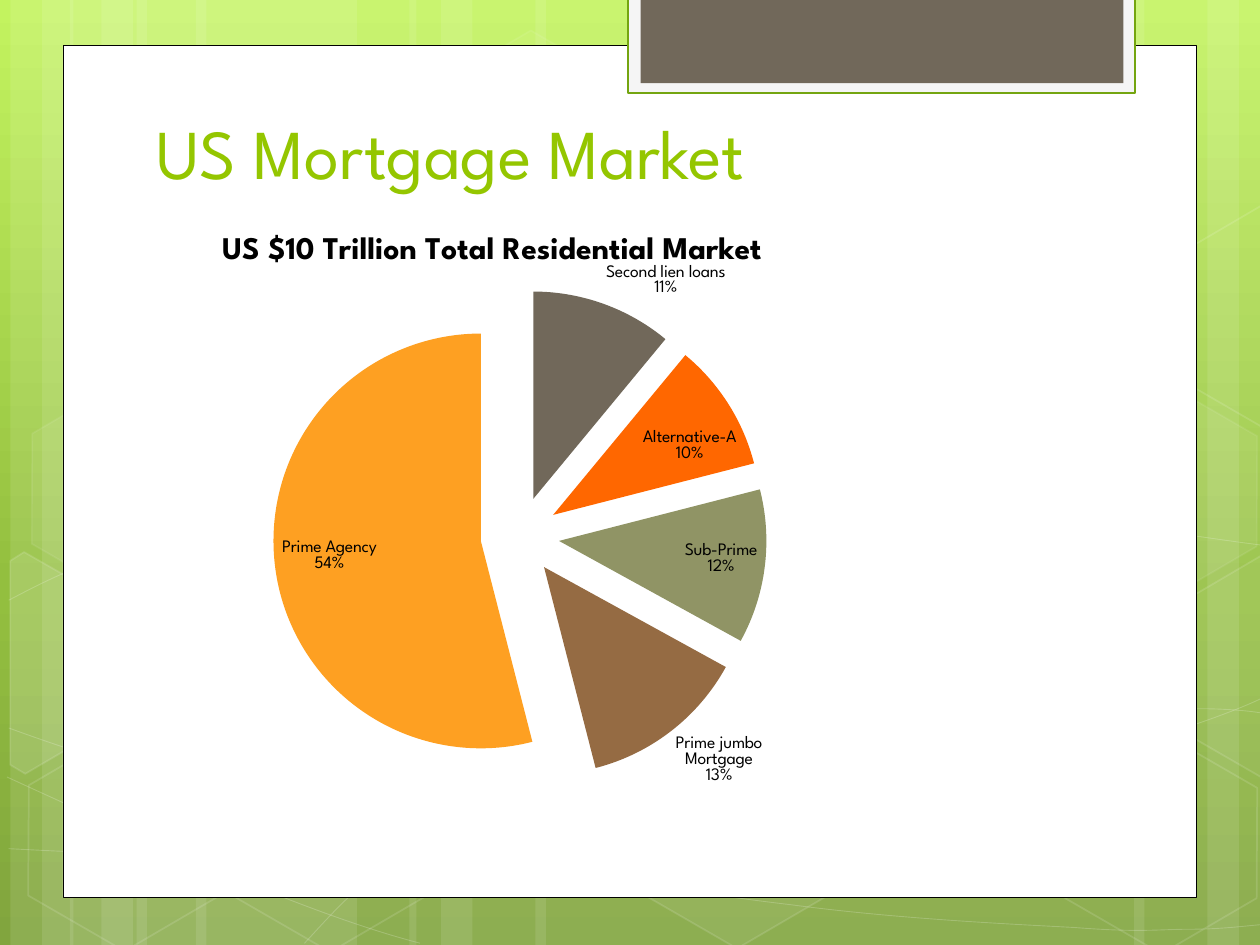
import copy
import math

import pptx
import pptx.chart.data
import pptx.dml.color
import pptx.enum.chart
import pptx.enum.shapes
import pptx.enum.text
import pptx.oxml
import pptx.oxml.ns
import pptx.util

Pt = pptx.util.Pt
qn = pptx.oxml.ns.qn
SHAPES = pptx.enum.shapes.MSO_SHAPE

FONT = "League Spartan"
WHITE, BLACK = "FFFFFF", "000000"
TITLE = "US Mortgage Market"
CHART_TITLE = "US $10 Trillion Total Residential Market"
MARKET = [  # category, share in percent, colour
    (CHART_TITLE, None, "94C600"),
    ("Second lien loans", 11, "71685A"),
    ("Alternative-A", 10, "FF6700"),
    ("Sub-Prime", 12, "909465"),
    ("Prime jumbo Mortgage", 13, "956B43"),
    ("Prime Agency", 54, "FEA022"),
]
EXPLOSION = 19
PLOT_AREA = {"x": 20.1, "y": 13.3, "w": 67.4, "h": 86.7}  # percent of the chart

BACKGROUND = [(0, "C3F35F"), (0.62, "93BF3F"), (1, "81A53E")]
STRIPES = [  # left, width
    (78, 126), (6, 36), (24, 60), (112, 126), (40, 36), (58, 60),
    (528, 126), (690, 36), (648, 60), (306, 222), (234, 36), (252, 60),
]
CURVES = [  # start point, then three Bezier points for each piece
    [(5, 485), (44, 487), (83, 489), (137, 488), (191, 487), (258, 486), (330, 479),
     (402, 472), (504, 458), (570, 444), (636, 431), (703, 409), (725, 397)],
    [(5, 343), (26, 332), (47, 321), (87, 310), (128, 299), (186, 284), (250, 279),
     (314, 274), (392, 273), (471, 279), (550, 285), (682, 307), (725, 312)],
    [(4, 444), (91, 484), (178, 523), (240, 539)],
    [(5, 416), (27, 424), (50, 432), (92, 444), (134, 454), (197, 472), (257, 485),
     (317, 497), (392, 510), (452, 517), (512, 525), (576, 528), (614, 530),
     (652, 533), (662, 531), (680, 531), (699, 531), (712, 529), (725, 528)],
    [(174, 539), (187, 525), (200, 510), (217, 498), (235, 485), (259, 470), (279, 460),
     (300, 450), (312, 446), (338, 438), (364, 431), (413, 421), (438, 416),
     (464, 411), (467, 411), (490, 410), (512, 408), (547, 405), (572, 405),
     (597, 404), (638, 405), (638, 405), (638, 405), (686, 405), (686, 405),
     (699, 405), (711, 406), (718, 407), (724, 408), (722, 407), (724, 408)],
]
TILT = 30
HEXAGONS = [  # left, top, fill opacity, line opacity
    (240.5, 26, 4, 8), (358, 424, 6, 12), (8, 425.5, None, 12), (10, 224.5, 7, 8),
    (125.5, 426, None, 12), (542, 326, 10, 12), (600.5, 427, None, 12),
    (600.5, 226, 7, 8),
]
CUT_HEXAGONS = [  # centre, corners as they stand after tilting, fill opacity
    ((25.9, 385.2), [(5.8, 320.4), (13.7, 315.4), (69.1, 347), (68.4, 410.4),
                     (14.4, 442.1), (5.8, 437)], 10),
    ((709.2, 374.4), [(666.7, 349.2), (720.7, 317.5), (726.5, 321.1), (726.5, 441.4),
                      (721.4, 444.2), (666.7, 412.6)], 4),
    ((709.2, 173.5), [(666.7, 149), (720.7, 117.4), (727.2, 121), (726.5, 241.2),
                      (721.4, 244.1), (666.7, 212.4)], None),
]
PANELS = [  # box, fill, line colour, line width
    ((36, 26, 648, 487), WHITE, BLACK, 0.5),
    ((359, -1.5, 289.5, 54.5), "F5F5F5", "74A510", 1.25),
    ((366, -1.5, 276, 49), "71685A", None, 0),
]


def rgb(colour):
    return pptx.dml.color.RGBColor.from_string(colour)


def fade(parent, opacity):
    """Give the solid fill inside parent an opacity in percent."""
    colour = parent.find(qn("a:solidFill")).find(qn("a:srgbClr"))
    colour.append(pptx.oxml.parse_xml(
        f'<a:alpha {pptx.oxml.ns.nsdecls("a")} val="{opacity * 1000}"/>'))


def paint(shape, fill=None, line=None, width=0, fill_opacity=100, line_opacity=100):
    shape.shadow.inherit = False
    properties = shape.element.spPr
    if fill:
        shape.fill.solid()
        shape.fill.fore_color.rgb = rgb(fill)
        if fill_opacity < 100:
            fade(properties, fill_opacity)
    else:
        shape.fill.background()
    if line:
        shape.line.color.rgb = rgb(line)
        shape.line.width = Pt(width)
        if line_opacity < 100:
            fade(properties.find(qn("a:ln")), line_opacity)
    else:
        shape.line.fill.background()


def add_preset(slide, preset, box):
    return slide.shapes.add_shape(preset, *map(Pt, box))


def add_outline(slide, points, close):
    start, *rest = [(Pt(x), Pt(y)) for x, y in points]
    builder = slide.shapes.build_freeform(*start)
    builder.add_line_segments(rest, close=close)
    return builder.convert_to_shape()


def add_curve(slide, points):
    """Draw an outline through the points, then join them in threes as Bezier pieces."""
    curve = add_outline(slide, points, False)
    segments = list(curve.element.iter(qn("a:lnTo")))
    for first in range(0, len(segments), 3):
        piece = segments[first].makeelement(qn("a:cubicBezTo"))
        segments[first].addprevious(piece)
        for segment in segments[first:first + 3]:
            piece.append(segment[0])
            segment.getparent().remove(segment)
    return curve


def untilt(point, centre):
    angle = math.radians(-TILT)
    dx, dy = point[0] - centre[0], point[1] - centre[1]
    return (centre[0] + dx * math.cos(angle) - dy * math.sin(angle),
            centre[1] + dx * math.sin(angle) + dy * math.cos(angle))


def add_background(slide):
    fill = slide.background.fill
    fill.gradient()
    fill.gradient_angle = 270
    stop_list = slide.element.find(".//" + qn("a:gsLst"))
    stop_list.append(copy.deepcopy(stop_list[0]))
    for stop, (position, colour) in zip(fill.gradient_stops, BACKGROUND):
        stop.position = position
        stop.color.rgb = rgb(colour)


def add_decoration(slide):
    for left, width in STRIPES:
        stripe = add_preset(slide, SHAPES.RECTANGLE, (left, 0, width, 540))
        paint(stripe, WHITE, fill_opacity=10)
    for points in CURVES:
        paint(add_curve(slide, points), line=WHITE, width=0.5, line_opacity=20)
    for left, top, fill_opacity, line_opacity in HEXAGONS:
        hexagon = add_preset(slide, SHAPES.HEXAGON, (left, top, 126, 109.5))
        hexagon.adjustments[0] = 0.285
        hexagon.rotation = TILT
        paint(hexagon, fill_opacity and WHITE, WHITE, 1, fill_opacity, line_opacity)
    for centre, corners, fill_opacity in CUT_HEXAGONS:
        cut = add_outline(slide, [untilt(corner, centre) for corner in corners], True)
        cut.rotation = TILT
        paint(cut, fill_opacity and WHITE, WHITE, 1, fill_opacity, 12)
    for box, fill, line, width in PANELS:
        paint(add_preset(slide, SHAPES.RECTANGLE, box), fill, line, width)


def style_font(font, size, colour, bold=False):
    font.name, font.size, font.bold = FONT, Pt(size), bold
    font.color.rgb = rgb(colour)


def add_title(slide):
    frame = slide.shapes.add_textbox(Pt(82.4), Pt(42), Pt(553), Pt(72)).text_frame
    frame.word_wrap = True
    frame.vertical_anchor = pptx.enum.text.MSO_ANCHOR.BOTTOM
    frame.text = TITLE
    style_font(frame.paragraphs[0].runs[0].font, 40, "94C600")


def add_market_pie(slide):
    data = pptx.chart.data.CategoryChartData()
    data.categories = [category for category, _, _ in MARKET]
    data.add_series("Series 1", [share for _, share, _ in MARKET])
    chart = slide.shapes.add_chart(pptx.enum.chart.XL_CHART_TYPE.PIE,
                                   Pt(72), Pt(120), Pt(418.5), Pt(329), data).chart
    style_font(chart.font, 10, BLACK)
    chart.has_legend = False
    chart.has_title = True
    heading = chart.chart_title.text_frame
    heading.text = CHART_TITLE
    style_font(heading.paragraphs[0].runs[0].font, 18, BLACK, True)

    plot = chart.plots[0]
    plot.vary_by_categories = True
    plot.has_data_labels = True
    labels = plot.data_labels
    labels.show_category_name = labels.show_percentage = True
    labels.show_value = False
    labels.number_format, labels.number_format_is_linked = "0%", False
    labels.position = pptx.enum.chart.XL_LABEL_POSITION.BEST_FIT
    style_font(labels.font, 10, BLACK)
    series = plot.series[0]
    for i, (_, _, colour) in enumerate(MARKET):
        fill = series.points[i].format.fill
        fill.solid()
        fill.fore_color.rgb = rgb(colour)

    namespace = pptx.oxml.ns.nsdecls("c")
    series._element.find(qn("c:tx")).addnext(
        pptx.oxml.parse_xml(f'<c:explosion {namespace} val="{EXPLOSION}"/>'))
    places = "".join(f'<c:{side} val="{percent / 100:.3f}"/>'
                     for side, percent in PLOT_AREA.items())
    area = chart.element.find(".//" + qn("c:plotArea"))
    for layout in area.findall(qn("c:layout")):
        area.remove(layout)
    area.insert(0, pptx.oxml.parse_xml(
        f'<c:layout {namespace}><c:manualLayout><c:layoutTarget val="inner"/>'
        f'<c:xMode val="edge"/><c:yMode val="edge"/>{places}'
        '</c:manualLayout></c:layout>'))


def main():
    presentation = pptx.Presentation()
    presentation.slide_width, presentation.slide_height = Pt(720), Pt(540)
    slide = presentation.slides.add_slide(presentation.slide_layouts[6])
    add_background(slide)
    add_decoration(slide)
    add_title(slide)
    add_market_pie(slide)
    presentation.save("out.pptx")


if __name__ == "__main__":
    main()
